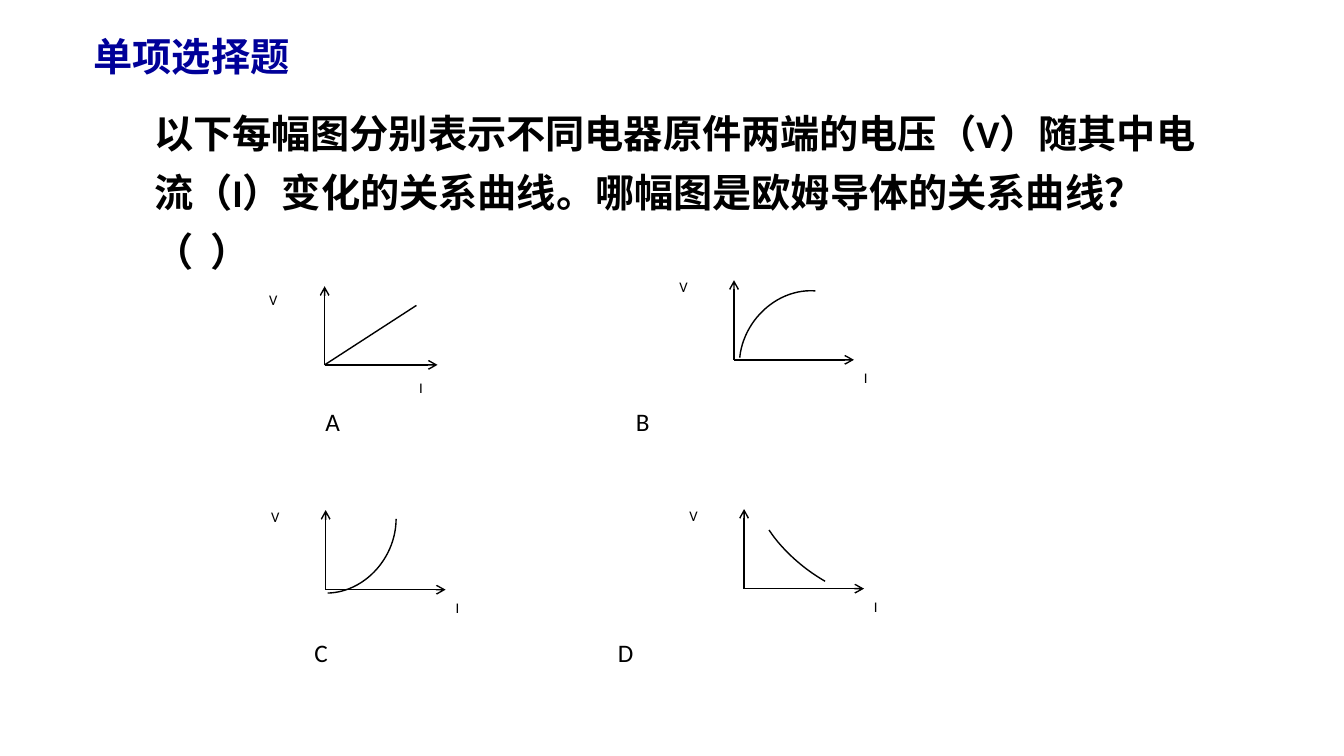
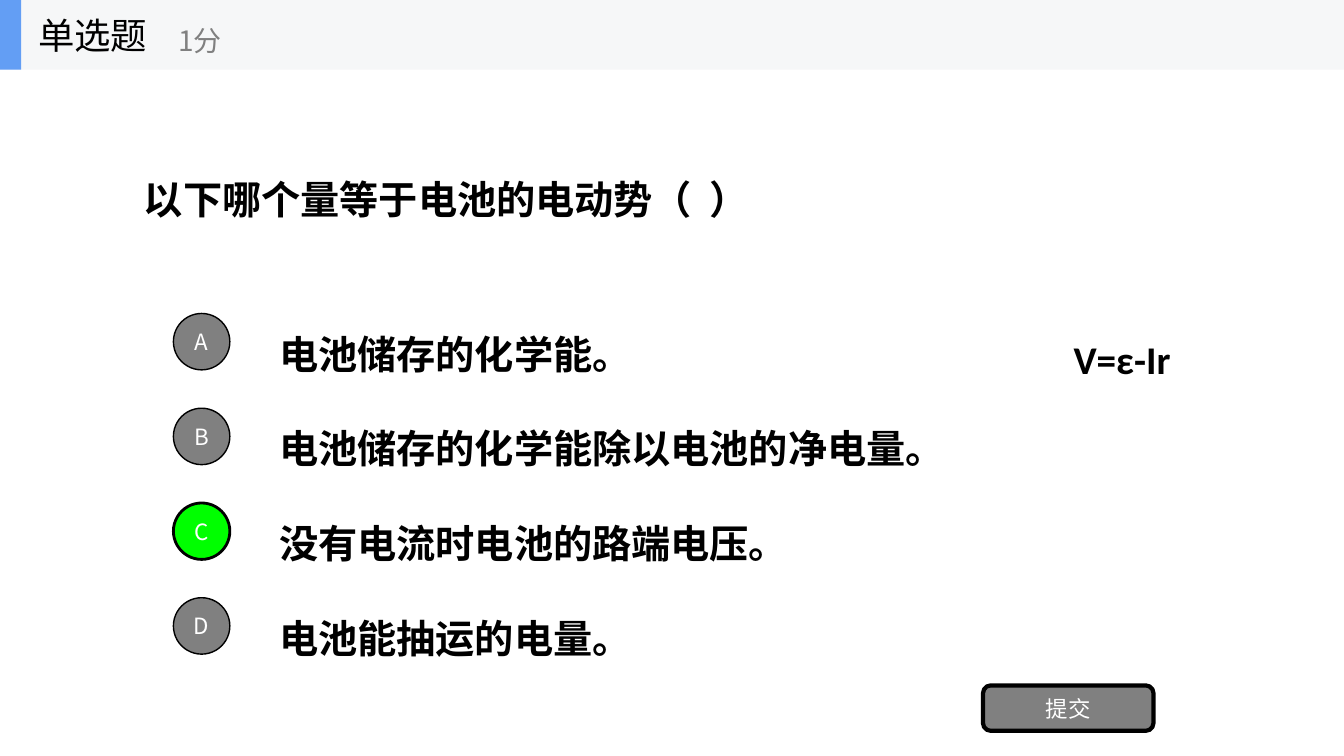
from lxml import etree
from pptx import Presentation
from pptx.dml.color import RGBColor
from pptx.enum import shapes, text
from pptx.oxml.ns import qn
from pptx import util as u

PX = 9144  # EMU in one px, 100 px to the inch
LATIN, CJK = "Calibri", "Noto Sans CJK SC"
COLORS = {
    "black": "000000", "white": "FFFFFF", "navy": "000099", "gray": "808080",
    "green": "00FF00", "blue": "639EF4", "band": "F6F7F8",
}
KINDS = shapes.MSO_SHAPE
ALIGN, ANCHOR = text.PP_ALIGN, text.MSO_ANCHOR


def color(name):
    return RGBColor.from_string(COLORS[name])


def emu(*lengths):
    return [length * PX for length in lengths]


class QuizDeck:
    def __init__(self, width, height):
        self.deck = Presentation()
        self.deck.slide_width, self.deck.slide_height = emu(width, height)
        self.page = None

    def new_page(self):
        self.page = self.deck.slides.add_slide(self.deck.slide_layouts[6])

    # Text
    def add_words(self, frame, words, size, ink="black", font=LATIN, bold=False,
                  align=None, spacing=None):
        para = frame.paragraphs[0]
        para.alignment = align
        if spacing:
            para.line_spacing = spacing
        span = para.add_run()
        span.text = words
        span.font.size = u.Pt(size)
        span.font.bold = bold
        span.font.name = font
        span.font.color.rgb = color(ink)
        properties = span.font._element
        properties.set("lang", "zh-CN")
        etree.SubElement(properties, qn("a:ea"), typeface=font)

    def text(self, area, words, size, middle=False, wrap=True, **style):
        frame = self.page.shapes.add_textbox(*emu(*area)).text_frame
        frame.word_wrap = wrap
        frame.vertical_anchor = ANCHOR.MIDDLE if middle else ANCHOR.TOP
        self.add_words(frame, words, size, **style)

    def strong(self, area, words, **style):
        self.text(area, words, 28, bold=True, **style)

    # Shapes and lines
    def shape(self, kind, area, fill=None, line=0):
        box = self.page.shapes.add_shape(kind, *emu(*area))
        box.shadow.inherit = False
        if fill:
            box.fill.solid()
            box.fill.fore_color.rgb = color(fill)
        else:
            box.fill.background()
        if line:
            box.line.color.rgb = color("black")
            box.line.width = u.Pt(line)
        else:
            box.line.fill.background()
        return box

    def button(self, kind, area, words, fill="gray", line=1):
        frame = self.shape(kind, area, fill, line).text_frame
        frame.margin_left = frame.margin_right = 0
        frame.margin_top = frame.margin_bottom = 0
        frame.vertical_anchor = ANCHOR.MIDDLE
        self.add_words(frame, words, 16, "white", CJK, align=ALIGN.CENTER)

    def line(self, start, end, arrow=False):
        link = self.page.shapes.add_connector(
            shapes.MSO_CONNECTOR.STRAIGHT, *emu(*start, *end))
        link.line.color.rgb = color("black")
        link.line.width = u.Pt(1)
        properties = link._element.spPr
        if arrow:
            etree.SubElement(properties.find(qn("a:ln")), qn("a:tailEnd"), type="arrow")
        etree.SubElement(properties, qn("a:effectLst"))

    def arc(self, area, rotation, start, end):
        curve = self.shape(KINDS.ARC, area, line=1)
        curve.rotation = rotation
        curve.adjustments[0], curve.adjustments[1] = start, end

    # Axes with a current (I) and a voltage (V) label
    def axes(self, x, y, width=119, height=79, current=(119, 4), voltage=(-64, -86)):
        self.line((x, y), (x + width, y), arrow=True)
        self.line((x, y), (x, y - height), arrow=True)
        for name, (right, down) in (("I", current), ("V", voltage)):
            label = self.shape(KINDS.RECTANGLE, (x + right, y + down, 54, 27), "white")
            label.text_frame.vertical_anchor = ANCHOR.TOP
            self.add_words(label.text_frame, name, 10.5, align=ALIGN.JUSTIFY)

    # Header band with the question type and its score
    def header(self, kind, score):
        self.shape(KINDS.RECTANGLE, (0, 0, 1333, 69), "band")
        self.shape(KINDS.RECTANGLE, (0, 0, 21, 69), "blue")
        self.text((28, 0, 208, 69), kind, 26, middle=True, wrap=False, font=CJK)
        self.text((167, 12, 250, 56), score, 20, middle=True, wrap=False,
                  font=CJK, ink="gray")


def curve_question(quiz):
    quiz.new_page()
    quiz.strong((143, 92, 1070, 128),
                "以下每幅图分别表示不同电器原件两端的电压（V）随其中电流（I）"
                "变化的关系曲线。哪幅图是欧姆导体的关系曲线？（  ）", spacing=1.25)
    # Graphs A to D
    quiz.axes(322, 362, 112, 78, current=(84, 9), voltage=(-65, -78))
    quiz.line((322, 362), (413, 303))
    quiz.axes(728, 357)
    quiz.arc((728, 294, 136, 119), 306.6, 139.3, 200.7)
    quiz.axes(323, 585)
    quiz.arc((263, 463, 136, 119), 120.7, 139.3, 200.7)
    quiz.axes(738, 584)
    quiz.arc((737, 485, 181, 89), 216.6, 146.63, 196)
    # Graph letters
    for letter, x, y in (("A", 313, 398), ("B", 621, 398),
                         ("C", 302, 627), ("D", 603, 627)):
        quiz.text((x, y, 60, 40), letter, 18)
    quiz.strong((83, 27, 324, 57), "单项选择题", ink="navy")


def battery_question(quiz):
    quiz.new_page()
    quiz.strong((133, 69, 1067, 234), "以下哪个量等于电池的电动势（  ）",
                middle=True, spacing=1.5)
    # Options, the right one in green
    options = ("电池储存的化学能。", "电池储存的化学能除以电池的净电量。",
               "没有电流时电池的路端电压。", "电池能抽运的电量。")
    for row, (letter, words) in enumerate(zip("ABCD", options)):
        top = 304 + 94 * row
        quiz.strong((267, top, 933, 70), words, middle=True, spacing=1.5)
        fill, line = ("green", 2) if letter == "C" else ("gray", 1)
        quiz.button(KINDS.OVAL, (172, top + 7, 56, 56), letter, fill, line)
    quiz.button(KINDS.ROUNDED_RECTANGLE, (975, 680, 169, 45), "提交", line=3)
    quiz.strong((1055, 304, 117, 81), "V=ε-Ir", wrap=False, spacing=1.5)
    quiz.header("单选题", "1分")


def main():
    quiz = QuizDeck(1333, 750)
    curve_question(quiz)
    battery_question(quiz)
    quiz.deck.save("out.pptx")


if __name__ == "__main__":
    main()
